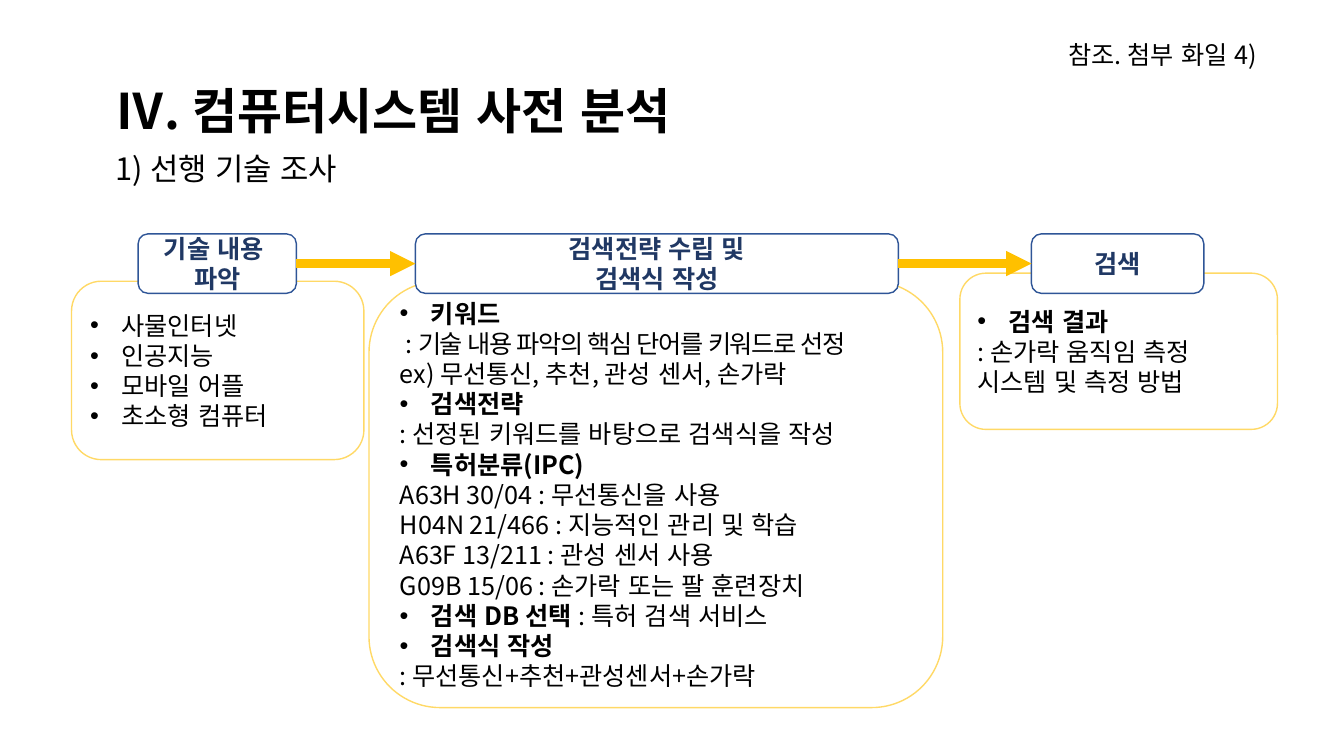
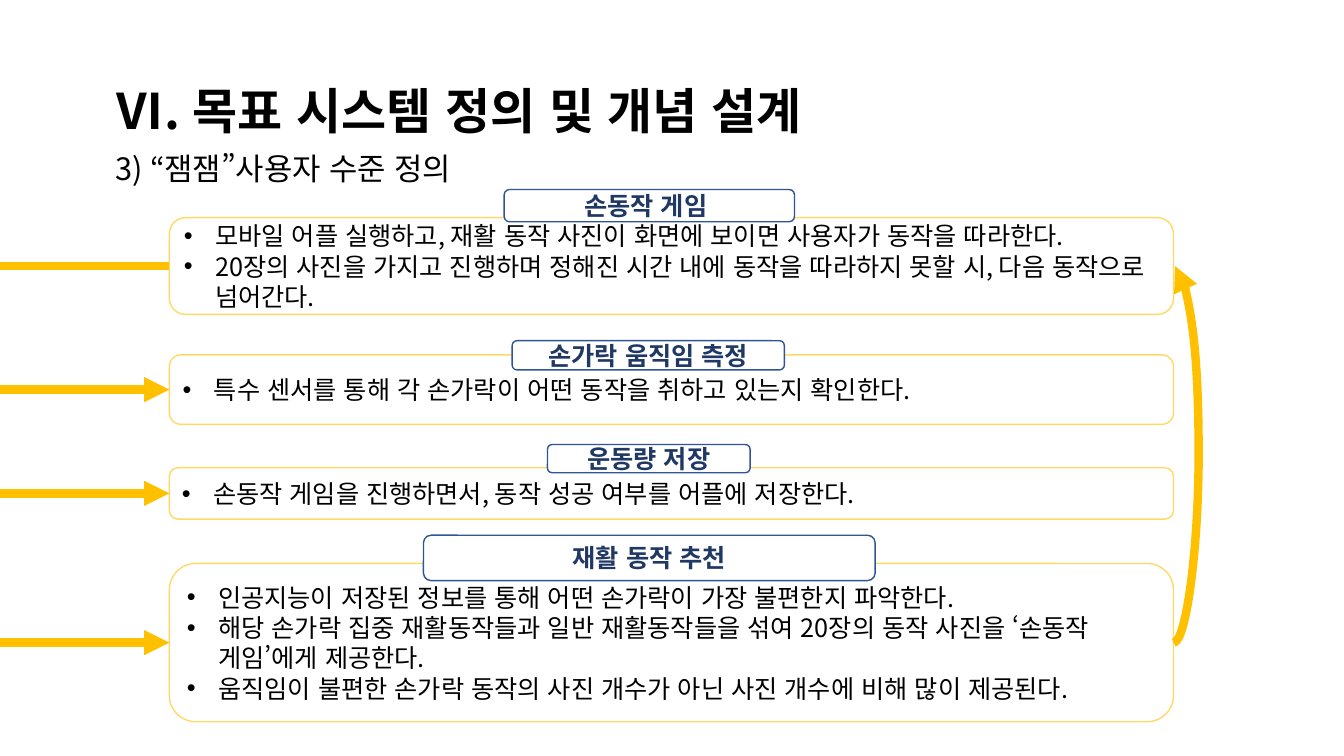
from pptx import Presentation
from pptx.dml.color import RGBColor
from pptx.enum.lang import MSO_LANGUAGE_ID
from pptx.enum.shapes import MSO_CONNECTOR, MSO_SHAPE
from pptx.enum.text import MSO_ANCHOR, MSO_AUTO_SIZE, PP_ALIGN
from pptx.oxml.ns import qn
from pptx.util import Inches, Pt
from lxml.etree import SubElement

FONT = "Noto Sans CJK KR"
COLORS = {"ink": "000000", "navy": "203864", "edge": "2F5597",
          "frame": "FFD966", "arrow": "FFC000", "paper": "FFFFFF"}
STYLES = {
    "title": {"size": Pt(35), "bold": True, "color": "ink"},
    "sub": {"size": Pt(22), "bold": False, "color": "ink"},
    "body": {"size": Pt(18), "bold": False, "color": "ink"},
    "strong": {"size": Pt(18), "bold": True, "color": "ink"},
    "label": {"size": Pt(18), "bold": True, "color": "navy"},
}
LEADING = 1.2
INDENT = Inches(0.31)
TOP, LEFT, BOTTOM, RIGHT = range(4)


def rgb(name):
    return RGBColor.from_string(COLORS[name])


# Text
def style(run, name, tight=False):
    look = dict(STYLES[name])
    run.font.color.rgb = rgb(look.pop("color"))
    look.update(name=FONT, language_id=MSO_LANGUAGE_ID.KOREAN)
    for key, value in look.items():
        setattr(run.font, key, value)
    props = run._r.get_or_add_rPr()
    SubElement(props, qn("a:ea")).set("typeface", FONT)
    if tight:
        props.set("spc", "-100")


def bullet(para):
    props = para._p.get_or_add_pPr()
    props.set("marL", str(INDENT))
    props.set("indent", str(-INDENT))
    SubElement(props, qn("a:buFont")).set("typeface", "Arial")
    SubElement(props, qn("a:buChar")).set("char", "•")


def write(frame, rows, align=PP_ALIGN.LEFT, anchor=MSO_ANCHOR.MIDDLE):
    """Each row is (has bullet, runs); each run is (text, style, tight)."""
    form = {"word_wrap": True, "auto_size": MSO_AUTO_SIZE.NONE,
            "vertical_anchor": anchor}
    for key, value in form.items():
        setattr(frame, key, value)
    for i, (mark, runs) in enumerate(rows):
        para = frame.add_paragraph() if i else frame.paragraphs[0]
        para.alignment = align
        para.line_spacing = Pt(STYLES[runs[0][1]]["size"].pt * LEADING)
        if mark:
            bullet(para)
        for text, *look in runs:
            run = para.add_run()
            run.text = text
            style(run, *look)


def plain(text, name="body"):
    return False, [(text, name)]


def point(text, name="body"):
    return True, [(text, name)]


def note(slide, at, text, name):
    box = slide.shapes.add_textbox(*map(Inches, at))
    write(box.text_frame, [plain(text, name)], anchor=MSO_ANCHOR.TOP)


# Slide head
def start(deck, title, sub):
    slide = deck.slides.add_slide(deck.slide_layouts[5])
    head = slide.shapes.title
    for key, size in zip(("left", "top", "width", "height"),
                         (1.05, 0.75, 8.97, 0.69)):
        setattr(head, key, Inches(size))
    write(head.text_frame, [plain(title, "title")], anchor=MSO_ANCHOR.TOP)
    note(slide, (1.05, 1.44, 6.3, 0.47), sub, "sub")
    return slide


# Boxes and lines
def panel(slide, at, edge, rows, align=PP_ALIGN.LEFT):
    box = slide.shapes.add_shape(MSO_SHAPE.ROUNDED_RECTANGLE,
                                 *map(Inches, at))
    box.shadow.inherit = False
    box.fill.solid()
    box.fill.fore_color.rgb = rgb("paper")
    box.line.color.rgb = rgb(edge)
    box.line.width = Pt(1)
    write(box.text_frame, rows, align)
    return box


def card(slide, at, rows, tag, names):
    """A framed text with a label over its upper edge."""
    body = panel(slide, at, "frame", rows)
    label = panel(slide, tag, "edge", [plain(n, "label") for n in names],
                  PP_ALIGN.CENTER)
    return body, label


def link(slide, kind=MSO_CONNECTOR.STRAIGHT, head=True):
    line = slide.shapes.add_connector(kind, 0, 0, 0, 0)
    line.line.color.rgb = rgb("arrow")
    line.line.width = Pt(6)
    if head:
        SubElement(line.line._get_or_add_ln(),
                   qn("a:tailEnd")).set("type", "triangle")
    SubElement(line._element.spPr, qn("a:effectLst"))
    return line


def join(slide, one, two):
    line = link(slide)
    line.begin_connect(one, RIGHT)
    line.end_connect(two, LEFT)


def enter(slide, box, head):
    """A line from the slide's left edge to a box."""
    line = link(slide, head=head)
    line.end_connect(box, LEFT)
    line.begin_x, line.begin_y = 0, line.end_y


def loop(slide, one, two, bulge):
    """A curve that bows out to the right of two boxes."""
    line = link(slide, MSO_CONNECTOR.CURVE)
    line.begin_connect(one, RIGHT)
    line.end_connect(two, RIGHT)
    line.end_x = line.begin_x + Pt(1)
    guides = line._element.spPr.find(qn("a:prstGeom")).get_or_add_avLst()
    guide = SubElement(guides, qn("a:gd"))
    guide.set("name", "adj1")
    guide.set("fmla", f"val {round(bulge / Pt(1) * 100000)}")


# Slides
def survey(deck):
    slide = start(deck, "Ⅳ. 컴퓨터시스템 사전 분석", "1) 선행 기술 조사")
    topics = ["사물인터넷", "인공지능", "모바일 어플", "초소형 컴퓨터"]
    plan = [
        point("키워드", "strong"),
        (False, [(" : ", "body"),
                 ("기술 내용 파악의 핵심 단어를 키워드로 선정", "body", True)]),
        plain("ex) 무선통신, 추천, 관성 센서, 손가락"),
        point("검색전략", "strong"),
        plain(": 선정된 키워드를 바탕으로 검색식을 작성"),
        point("특허분류(IPC)", "strong"),
        plain("A63H 30/04 : 무선통신을 사용"),
        plain("H04N 21/466 : 지능적인 관리 및 학습"),
        plain("A63F 13/211 : 관성 센서 사용"),
        plain("G09B 15/06 : 손가락 또는 팔 훈련장치"),
        (True, [("검색 DB 선택 ", "strong"),
                (": 특허 검색 서비스", "body")]),
        point("검색식 작성", "strong"),
        plain(": 무선통신+추천+관성센서+손가락"),
    ]
    found = [point("검색 결과", "strong"),
             plain(": 손가락 움직임 측정 시스템 및 측정 방법")]
    # frame, text, label left and width, label text
    steps = [
        ((0.71, 2.79, 2.9, 1.77), [point(t) for t in topics],
         1.37, 1.57, ["기술 내용 ", "파악"]),
        ((3.66, 2.79, 5.69, 4.23), plan,
         4.12, 4.79, ["검색전략 수립 및", "검색식 작성"]),
        ((9.52, 2.71, 3.15, 1.55), found, 10.23, 1.71, ["검색"]),
    ]
    labels = [card(slide, at, rows, (left, 2.32, width, 0.59), names)[1]
              for at, rows, left, width, names in steps]
    for one, two in zip(labels, labels[1:]):
        join(slide, one, two)
    note(slide, (10.5, 0.34, 2.21, 0.4), "참조. 첨부 화일 4)", "body")


def design(deck):
    slide = start(deck, "Ⅵ. 목표 시스템 정의 및 개념 설계",
                  "3) “잼잼”사용자 수준 정의")
    # frame top and height, label place, label text, points
    stages = [
        (2.16, 0.96, (5, 1.88, 2.88, 0.32), "손동작 게임 ",
         ["모바일 어플 실행하고, 재활 동작 사진이 화면에 보이면 사용자가 동작을 따라한다.",
          "20장의 사진을 가지고 진행하며 정해진 시간 내에 동작을 따라하지 못할 시, "
          "다음 동작으로 넘어간다."]),
        (3.52, 0.69, (5.08, 3.38, 2.7, 0.29), "손가락 움직임 측정",
         ["특수 센서를 통해 각 손가락이 어떤 동작을 취하고 있는지 확인한다."]),
        (4.64, 0.51, (5.43, 4.41, 2.01, 0.28), "운동량 저장",
         ["손동작 게임을 진행하면서, 동작 성공 여부를 어플에 저장한다."]),
        (5.59, 1.57, (4.2, 5.31, 4.48, 0.45), "재활 동작 추천",
         ["인공지능이 저장된 정보를 통해 어떤 손가락이 가장 불편한지 파악한다.",
          "해당 손가락 집중 재활동작들과 일반 재활동작들을 섞여 20장의 동작 사진을 "
          "‘손동작 게임’에게 제공한다.",
          "움직임이 불편한 손가락 동작의 사진 개수가 아닌 사진 개수에 비해 많이 제공된다."]),
    ]
    boxes = [card(slide, (1.68, top, 9.96, height),
                  [point(t) for t in texts], tag, [name])[0]
             for top, height, tag, name, texts in stages]
    for i, box in enumerate(boxes):
        enter(slide, box, head=i > 0)
    loop(slide, boxes[-1], boxes[0], Inches(0.25))


def main():
    deck = Presentation()
    deck.slide_width, deck.slide_height = Inches(13.33), Inches(7.5)
    survey(deck)
    design(deck)
    deck.save("out.pptx")


if __name__ == "__main__":
    main()
